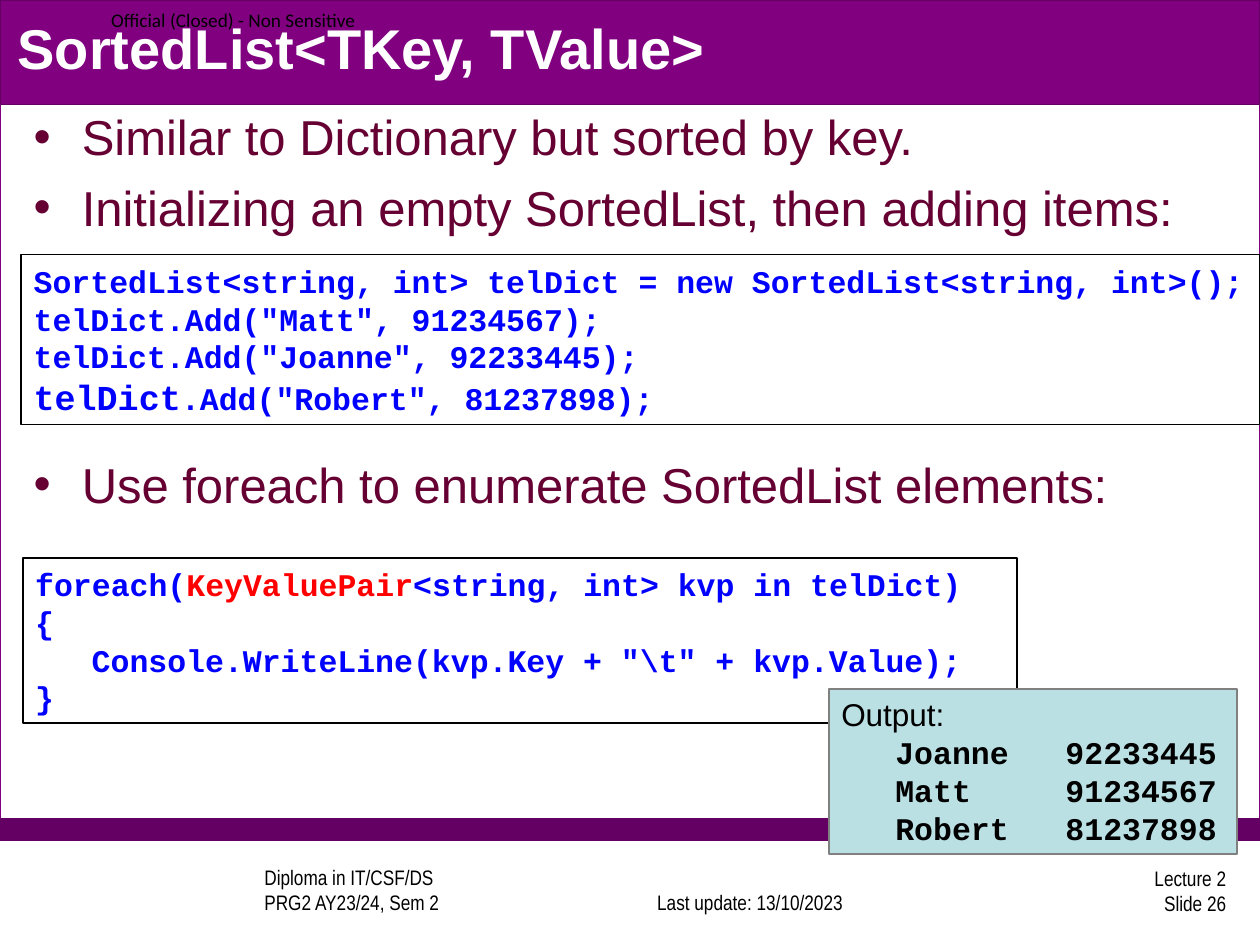
"""Build the SortedList lecture slide."""
from dataclasses import dataclass

from lxml.etree import SubElement
from pptx import Presentation
from pptx.dml.color import RGBColor
from pptx.enum.shapes import MSO_SHAPE
from pptx.enum.text import MSO_ANCHOR, PP_ALIGN
from pptx.oxml.ns import qn
from pptx.slide import Slide
from pptx.util import Cm, Pt


def color(value):
    return RGBColor.from_string(value)


@dataclass
class SlideBuilder:
    slide: Slide
    body_font: str = "Arial"
    code_font: str = "Courier New"
    footer_font: str = "Arial Narrow"
    code_color: str = "0000FF"
    text_color: str = "000000"

    def format(self, paragraph, font, size, text_color, bold=False):
        for run in paragraph.runs:
            run.font.name = font
            run.font.size = Pt(size)
            run.font.bold = bold
            run.font.color.rgb = color(text_color)

    def place(self, shape, left, top, width, height):
        shape.left, shape.top = Cm(left), Cm(top)
        shape.width, shape.height = Cm(width), Cm(height)

    def title(self, text, *box):
        shape = self.slide.shapes.title
        self.place(shape, *box)
        shape.element.getparent().append(shape.element)
        frame = shape.text_frame
        frame.text = text
        frame.vertical_anchor = MSO_ANCHOR.MIDDLE
        frame.paragraphs[0].alignment = PP_ALIGN.LEFT
        self.format(frame.paragraphs[0], self.body_font, 32, "FFFFFF", True)

    def rectangle(self, fill, line, width, *box):
        shape = self.slide.shapes.add_shape(MSO_SHAPE.RECTANGLE, *map(Cm, box))
        shape.shadow.inherit = False
        if fill:
            shape.fill.solid()
            shape.fill.fore_color.rgb = color(fill)
        else:
            shape.fill.background()
        shape.line.color.rgb = color(line)
        shape.line.width = Pt(width)
        return shape

    def label(self, text, font, size, alignment, anchor, *box, inset=0.25):
        frame = self.slide.shapes.add_textbox(*map(Cm, box)).text_frame
        frame.word_wrap = True
        frame.vertical_anchor = anchor
        frame.margin_left = Cm(inset)
        frame.text = text
        paragraph = frame.paragraphs[0]
        paragraph.alignment = alignment
        self.format(paragraph, font, size, self.text_color)

    def paragraphs(self, frame, lines):
        frame.text = "\n".join(lines)
        for paragraph in frame.paragraphs:
            paragraph.alignment = PP_ALIGN.LEFT
        return frame.paragraphs

    def bullets(self, items, *box):
        frame = self.slide.shapes.add_textbox(*map(Cm, box)).text_frame
        frame.word_wrap = True
        paragraphs = self.paragraphs(frame, [text for text, _ in items])
        for paragraph, (_, gap) in zip(paragraphs, items):
            paragraph.space_before = Pt(gap)
            self.format(paragraph, self.body_font, 28, "660033")
            properties = paragraph._p.get_or_add_pPr()
            properties.set("marL", str(Cm(0.97)))
            properties.set("indent", str(-Cm(0.97)))
            SubElement(properties, qn("a:buFont"), typeface=self.body_font)
            SubElement(properties, qn("a:buChar"), char="•")

    def code(self, lines, *box):
        frame = self.rectangle(None, self.text_color, 1, *box).text_frame
        frame.vertical_anchor = MSO_ANCHOR.MIDDLE
        for paragraph, runs in zip(self.paragraphs(frame, [""] * len(lines)), lines):
            for text, size, run_color in runs:
                run = paragraph.add_run()
                run.text = text
                run.font.name = self.code_font
                run.font.size = Pt(size)
                run.font.bold = True
                run.font.color.rgb = color(run_color or self.code_color)
        return frame.paragraphs

    def output(self, heading, rows, tab_stops, *box):
        frame = self.rectangle("BBE0E3", "808080", 0.75, *box).text_frame
        frame.vertical_anchor = MSO_ANCHOR.TOP
        lines = [heading] + [f"\t{name}\t{number}" for name, number in rows]
        first, *others = self.paragraphs(frame, lines)
        self.format(first, self.body_font, 18, self.text_color)
        for paragraph in others:
            self.format(paragraph, self.code_font, 18, self.text_color, True)
            tabs = SubElement(paragraph._p.get_or_add_pPr(), qn("a:tabLst"))
            for stop in tab_stops:
                SubElement(tabs, qn("a:tab"), pos=str(Cm(stop)), algn="l")


def main():
    presentation = Presentation()
    presentation.slide_width, presentation.slide_height = Cm(25.4), Cm(19.05)
    builder = SlideBuilder(presentation.slides.add_slide(presentation.slide_layouts[5]))

    builder.rectangle("FFFFFF", "800080", 0.75, 0, 0, 25.4, 16.94)
    builder.rectangle("640064", "640064", 0.75, 0, 16.51, 25.4, 0.43)
    builder.rectangle("800080", "640064", 0.75, 0, 0, 25.4, 2.11)

    footer = builder.footer_font
    builder.label("Diploma in IT/CSF/DS\vPRG2 AY23/24, Sem 2", footer, 12,
                  PP_ALIGN.LEFT, MSO_ANCHOR.BOTTOM, 5.08, 17.5, 6.78, 1.07)
    builder.label("Last update: 13/10/2023", footer, 12,
                  PP_ALIGN.CENTER, MSO_ANCHOR.BOTTOM, 12.48, 17.5, 5.28, 1.07)
    builder.label("Lecture 2\vSlide 26", footer, 12,
                  PP_ALIGN.RIGHT, MSO_ANCHOR.MIDDLE, 19.69, 17.42, 5.28, 1.07)
    builder.label("Official (Closed) - Non Sensitive", "Calibri", 11,
                  PP_ALIGN.LEFT, MSO_ANCHOR.MIDDLE, 2.24, 0, 5.6, 0.79, inset=0)

    builder.title("SortedList<TKey, TValue>", 0.1, 0, 24.97, 1.9)
    builder.bullets([
        ("Similar to Dictionary but sorted by key.", 6.7),
        ("Initializing an empty SortedList, then adding items:", 6.7),
        ("Use foreach to enumerate SortedList elements:", 124.5),
    ], 0.43, 2.03, 24.13, 14.05)

    builder.code([
        [("SortedList<string, int> telDict = new SortedList<string, int>();", 18, None)],
        [('telDict.Add("Matt", 91234567);', 18, None)],
        [('telDict.Add("Joanne", 92233445);', 18, None)],
        [("telDict", 20, None), ('.Add("Robert", 81237898);', 18, None)],
    ], 0.43, 5.13, 24.97, 3.43)
    loop = builder.code([
        [("foreach(", 18, None), ("KeyValuePair", 18, "FF0000"),
         ("<string, int> kvp in telDict)", 18, None)],
        [("{", 18, None)],
        [('Console.WriteLine(kvp.Key + "\\t" + kvp.Value);', 18, None)],
        [("}", 18, None)],
    ], 0.46, 11.25, 20.04, 3.33)
    loop[2]._p.get_or_add_pPr().set("marL", str(Cm(1.14)))

    builder.output("Output:", [("Joanne", "92233445"), ("Matt", "91234567"),
                               ("Robert", "81237898")],
                   (1.09, 4.52), 16.71, 13.89, 8.23, 3.33)
    presentation.save("out.pptx")


if __name__ == "__main__":
    main()
